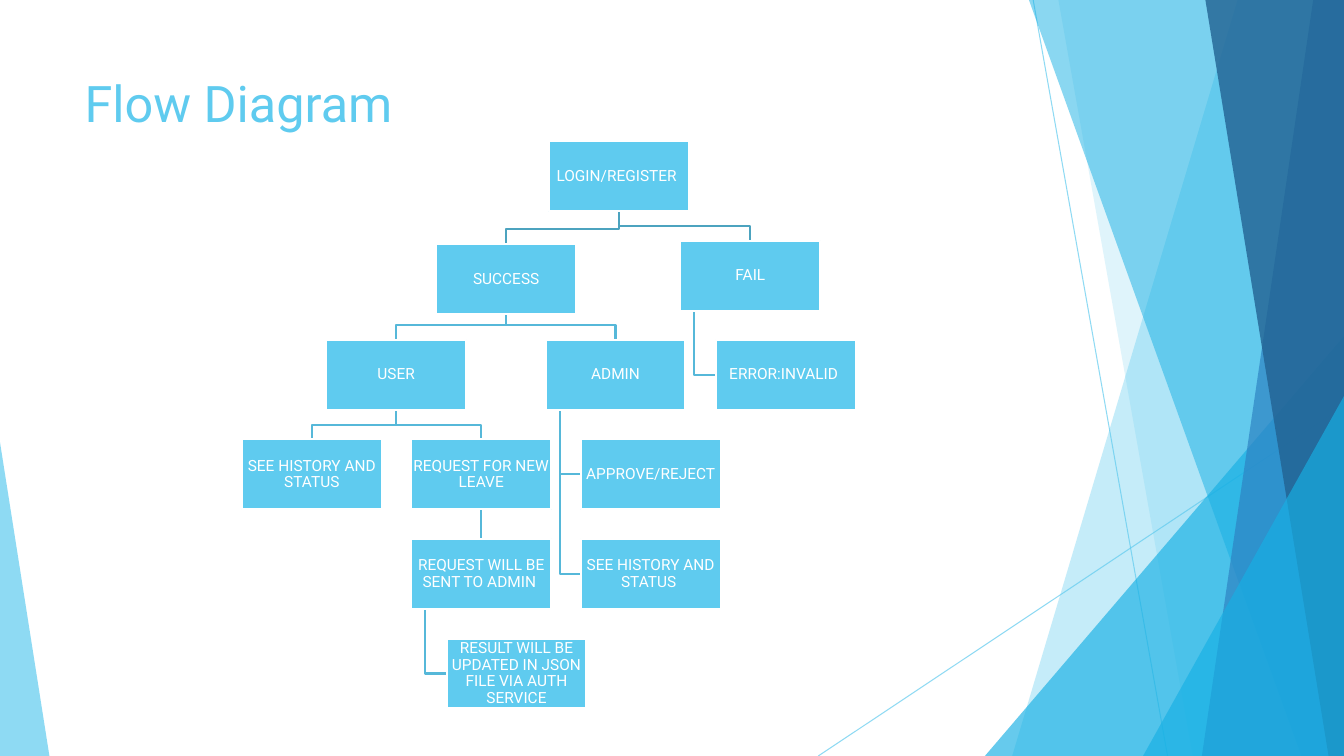
from lxml import etree
from pptx import Presentation
from pptx.dml.color import RGBColor
from pptx.enum.shapes import MSO_CONNECTOR, MSO_SHAPE
from pptx.enum.text import MSO_ANCHOR, PP_ALIGN
from pptx.oxml.ns import qn
from pptx.util import Pt

STRAIGHT = MSO_CONNECTOR.STRAIGHT
RECTANGLE, TRIANGLE = MSO_SHAPE.RECTANGLE, MSO_SHAPE.ISOSCELES_TRIANGLE
TOP, MIDDLE = MSO_ANCHOR.TOP, MSO_ANCHOR.MIDDLE
LEFT, CENTER = PP_ALIGN.LEFT, PP_ALIGN.CENTER

COLORS = {
    "sky": "5FCBEF", "azure": "17B0E4", "blue": "2E83C3", "navy": "226292",
    "link": "56B8D9", "root_link": "4CA3BF", "white": "FFFFFF",
}
FONT = "Roboto"
WIDTH, HEIGHT = 960, 540
BOX_WIDTH, BOX_HEIGHT = 100, 50
BEND = 10.5    # height of a branch's crossbar above the child box
INDENT = 10    # distance of a side branch from the parent's left edge
ROWS = [242.8 + 71.1 * row for row in range(4)]

# name: (left, top, text)
BOXES = {
    "login": (391.9, 101, "LOGIN/REGISTER "),
    "success": (311.6, 174.4, "SUCCESS"),
    "user": (233, ROWS[0], "USER"),
    "user history": (172.8, ROWS[1], "SEE HISTORY AND STATUS"),
    "request": (293.8, ROWS[1], "REQUEST FOR NEW LEAVE"),
    "sent": (293.8, ROWS[2], "REQUEST WILL BE SENT TO ADMIN "),
    "result": (319, ROWS[3], "RESULT WILL BE UPDATED IN JSON FILE VIA AUTH SERVICE"),
    "admin": (389.7, ROWS[0], "ADMIN"),
    "approve": (414.8, ROWS[1], "APPROVE/REJECT"),
    "admin history": (414.8, ROWS[2], "SEE HISTORY AND STATUS "),
    "fail": (486, 172, "FAIL"),
    "error": (511.2, ROWS[0], "ERROR:INVALID "),
}
SIDE_LINKS = [("fail", "error"), ("admin", "admin history"),
              ("admin", "approve"), ("sent", "result")]
DOWN_LINKS = [("login", "fail"), ("success", "admin"), ("request", "sent"),
              ("user", "request"), ("user", "user history"),
              ("success", "user"), ("login", "success")]

# x of top left, bottom left, colour, opacity in percent
BACK_BANDS = [(884, 723, "sky", 36), (756, 852, "sky", 20)]
FRONT_BANDS = [(735, 929.5, "azure", 50), (938, 858.5, "blue", 70),
               (861, 949, "navy", 80)]


def rgb(name):
    return RGBColor.from_string(COLORS[name])


def set_opacity(fill_parent, percent):
    color = next(fill_parent.iter(qn("a:srgbClr")))
    etree.SubElement(color, qn("a:alpha")).set("val", str(percent * 1000))


def paint(shape, color, opacity=100):
    shape.shadow.inherit = False
    shape.fill.solid()
    shape.fill.fore_color.rgb = rgb(color)
    shape.line.fill.background()
    if opacity < 100:
        set_opacity(shape._element.spPr, opacity)


def add_path(slide, points, close):
    points = [(Pt(x), Pt(y)) for x, y in points]
    builder = slide.shapes.build_freeform(*points[0], scale=1.0)
    builder.add_line_segments(points[1:], close=close)
    return builder.convert_to_shape()


def add_band(slide, top_x, bottom_x, color, opacity):
    """Fill the area from a slanted left edge to the right slide edge."""
    corners = [(top_x, 0), (WIDTH, 0), (WIDTH, HEIGHT), (bottom_x, HEIGHT)]
    paint(add_path(slide, corners, close=True), color, opacity)


def add_corner(slide, left, top, width, apex, color, opacity):
    """Place a right-angled triangle on the bottom edge."""
    shape = slide.shapes.add_shape(
        TRIANGLE, Pt(left), Pt(top), Pt(width), Pt(HEIGHT - top))
    shape.adjustments[0] = apex
    paint(shape, color, opacity)


def add_line(slide, start, end, color, weight, opacity=100):
    line = slide.shapes.add_connector(
        STRAIGHT, *(Pt(value) for value in (*start, *end)))
    line.line.color.rgb = rgb(color)
    line.line.width = Pt(weight)
    if opacity < 100:
        set_opacity(line._element.spPr, opacity)
    etree.SubElement(line._element.spPr, qn("a:effectLst"))


def add_branch(slide, points, color):
    shape = add_path(slide, points, close=False)
    shape.shadow.inherit = False
    shape.fill.background()
    shape.line.color.rgb = rgb(color)
    shape.line.width = Pt(1.5)


def link_side(slide, parent, child):
    left, top, _ = BOXES[parent]
    child_left, child_top, _ = BOXES[child]
    x, y = left + INDENT, child_top + BOX_HEIGHT / 2
    add_branch(slide, [(x, top + BOX_HEIGHT), (x, y), (child_left, y)], "link")


def link_down(slide, parent, child):
    left, top, _ = BOXES[parent]
    child_left, child_top, _ = BOXES[child]
    start = (left + BOX_WIDTH / 2, top + BOX_HEIGHT)
    end = (child_left + BOX_WIDTH / 2, child_top)
    color = "root_link" if parent == "login" else "link"
    if start[0] == end[0]:
        add_line(slide, start, end, color, 1.5)
    else:
        bar = child_top - BEND
        add_branch(slide, [start, (start[0], bar), (end[0], bar), end], color)


def write_text(shape, text, size, color, align=LEFT, anchor=TOP,
               margins=(7.2, 3.6), spacing=1.0):
    frame = shape.text_frame
    frame.word_wrap = True
    frame.vertical_anchor = anchor
    frame.margin_left = frame.margin_right = Pt(margins[0])
    frame.margin_top = frame.margin_bottom = Pt(margins[1])
    para = frame.paragraphs[0]
    para.alignment = align
    para.line_spacing = spacing
    span = para.add_run()
    span.text = text
    span.font.name = FONT
    span.font.size = Pt(size)
    span.font.color.rgb = rgb(color)


def add_box(slide, left, top, text):
    box = slide.shapes.add_shape(
        RECTANGLE, Pt(left), Pt(top), Pt(BOX_WIDTH), Pt(BOX_HEIGHT))
    paint(box, "sky")
    box.line.color.rgb = rgb("white")
    box.line.width = Pt(1.5)
    write_text(box, text, 11, "white", align=CENTER, anchor=MIDDLE,
               margins=(0.7, 0.7), spacing=0.9)


def add_backdrop(slide):
    add_line(slide, (738, 0), (834, HEIGHT), "sky", 0.75, 70)
    add_line(slide, (WIDTH, 290), (584.5, HEIGHT), "sky", 0.75, 70)
    for band in BACK_BANDS:
        add_band(slide, *band)
    add_corner(slide, 703.5, 240, 256.5, 1, "azure", 66)
    for band in FRONT_BANDS:
        add_band(slide, *band)
    add_corner(slide, 816.5, 283, 143.5, 1, "azure", 66)
    add_corner(slide, 0, 316, 35.3, 0, "sky", 70)


def main():
    deck = Presentation()
    deck.slide_width, deck.slide_height = Pt(WIDTH), Pt(HEIGHT)
    page = deck.slides.add_slide(deck.slide_layouts[6])
    add_backdrop(page)
    title = page.shapes.add_textbox(Pt(53.3), Pt(48), Pt(677), Pt(104))
    write_text(title, "Flow Diagram", 36, "sky")
    for parent, child in SIDE_LINKS:
        link_side(page, parent, child)
    for parent, child in DOWN_LINKS:
        link_down(page, parent, child)
    for box in BOXES.values():
        add_box(page, *box)
    deck.save("out.pptx")


if __name__ == "__main__":
    main()
